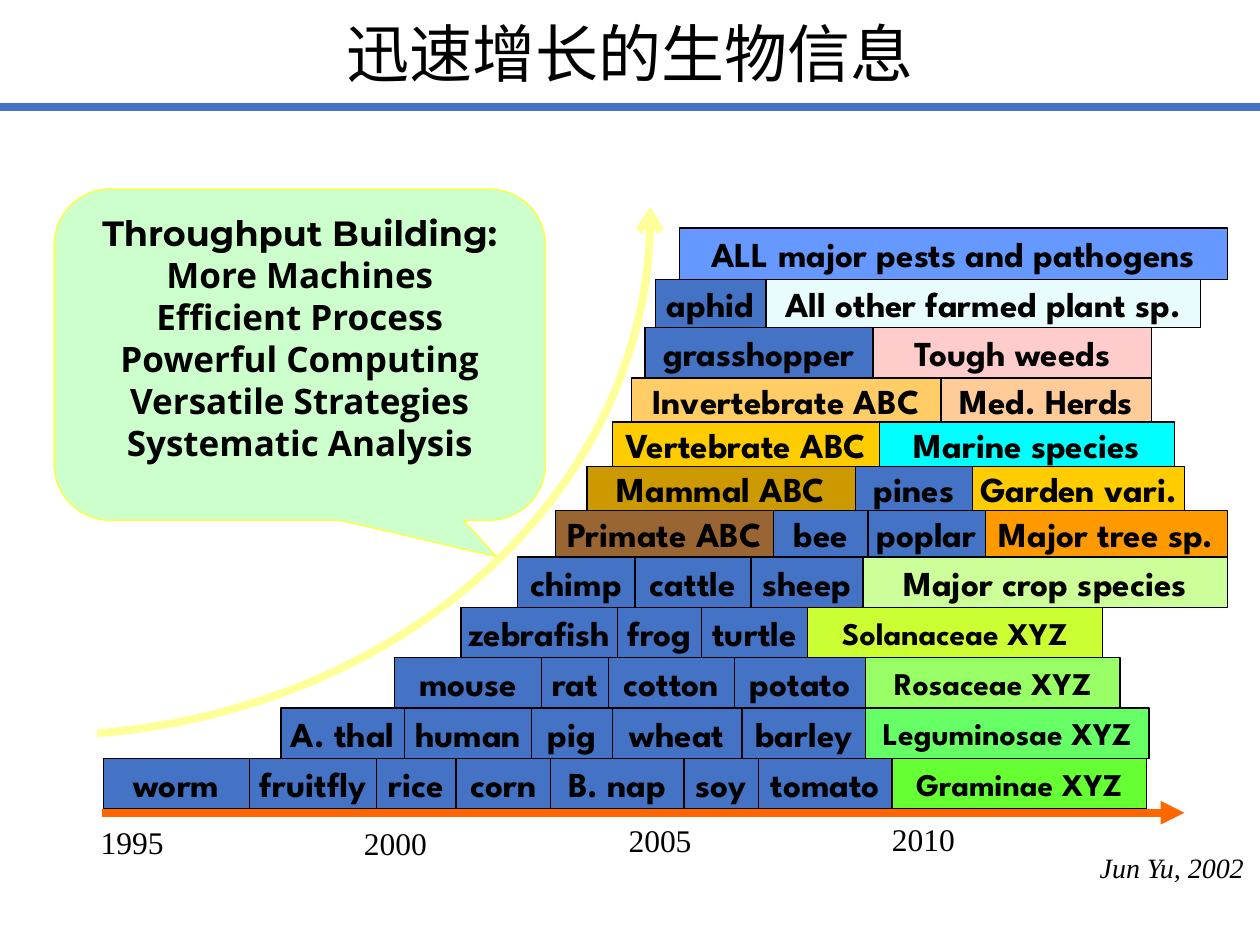
from lxml import etree
from pptx import Presentation, util as u
from pptx.dml.color import RGBColor
from pptx.enum import shapes, text
from pptx.oxml import ns

COLORS = {
    "black": "000000", "blue": "4472C4", "axis": "FF6600", "curve": "FFFF99",
    "callout": "CCFFCC", "callout edge": "FFFF33",
    "sky": "6699FF", "ice": "E8FCFE", "pink": "FFCCCC", "sand": "FFCC66",
    "peach": "FFCC99", "gold": "FFCC00", "cyan": "00FFFF", "ochre": "CC9900",
    "brown": "996633", "orange": "FF9900", "pale green": "CCFF99",
    "lime": "CCFF33", "light green": "99FF66", "mint": "66FF66", "green": "66FF33",
}

# Each row: top, left edge, then (label, right edge, colour) from left to right
ROWS = [
    (1.81, 5.39, [("ALL major pests and pathogens", 9.74, "sky")]),
    (2.22, 5.20, [("aphid", 6.08, "blue"), ("All other farmed plant sp.", 9.53, "ice")]),
    (2.60, 5.12, [("grasshopper", 6.93, "blue"), ("Tough weeds", 9.14, "pink")]),
    (3.00, 5.01, [("Invertebrate ABC", 7.47, "sand"), ("Med. Herds", 9.14, "peach")]),
    (3.35, 4.86, [("Vertebrate ABC", 6.98, "gold"), ("Marine species", 9.32, "cyan")]),
    (3.70, 4.66, [("Mammal ABC", 6.79, "ochre"), ("pines", 7.72, "blue"),
                  ("Garden vari.", 9.40, "gold")]),
    (4.05, 4.41, [("Primate ABC", 6.14, "brown"), ("bee", 6.89, "blue"),
                  ("poplar", 7.82, "blue"), ("Major tree sp.", 9.74, "orange")]),
    (4.42, 4.11, [("chimp", 5.04, "blue"), ("cattle", 5.96, "blue"),
                  ("sheep", 6.85, "blue"), ("Major crop species", 9.74, "pale green")]),
    (4.82, 3.66, [("zebrafish", 4.90, "blue"), ("frog", 5.57, "blue"),
                  ("turtle", 6.41, "blue"), ("Solanaceae XYZ", 8.75, "lime")]),
    (5.22, 3.13, [("mouse", 4.30, "blue"), ("rat", 4.83, "blue"), ("cotton", 5.83, "blue"),
                  ("potato", 6.87, "blue"), ("Rosaceae XYZ", 8.89, "light green")]),
    (5.62, 2.23, [("A. thal", 3.21, "blue"), ("human", 4.22, "blue"), ("pig", 4.86, "blue"),
                  ("wheat", 5.89, "blue"), ("barley", 6.87, "blue"),
                  ("Leguminosae XYZ", 9.12, "mint")]),
    (6.02, 0.82, [("worm", 1.98, "blue"), ("fruitfly", 2.99, "blue"), ("rice", 3.62, "blue"),
                  ("corn", 4.37, "blue"), ("B. nap", 5.43, "blue"), ("soy", 6.02, "blue"),
                  ("tomato", 7.08, "blue"), ("Graminae XYZ", 9.10, "green")]),
]
ROWS_BOTTOM = 6.42


def write(shape, content, size, font, bold=False, italic=False, centred=True, wrap=False):
    frame = shape.text_frame
    frame.text = content
    frame.word_wrap = wrap
    for paragraph in frame.paragraphs:
        paragraph.alignment = text.PP_ALIGN.CENTER if centred else text.PP_ALIGN.LEFT
        for run in paragraph.runs:
            run.font.size = u.Pt(size)
            run.font.name = font
            run.font.bold = bold
            run.font.italic = italic
            run.font.color.rgb = RGBColor.from_string(COLORS["black"])


def outline(shape, color, width, arrow=None):
    """Set the line, drop the shadow and add an optional end arrowhead."""
    shape.line.color.rgb = RGBColor.from_string(COLORS[color])
    shape.line.width = u.Pt(width)
    properties = shape._element.spPr
    if arrow:
        line = properties.find(ns.qn("a:ln"))
        etree.SubElement(line, ns.qn("a:tailEnd"), type=arrow)
    if properties.find(ns.qn("a:effectLst")) is None:
        etree.SubElement(properties, ns.qn("a:effectLst"))


presentation = Presentation()
presentation.slide_width = u.Inches(10)
presentation.slide_height = u.Inches(7.5)
slide = presentation.slides.add_slide(presentation.slide_layouts.get_by_name("Title Only"))

# Title and rule
title = slide.shapes.title
title.left, title.top = 0, u.Inches(0.06)
title.width, title.height = presentation.slide_width, u.Inches(0.71)
write(title, "迅速增长的生物信息", 36, "Arial", wrap=True)
title.text_frame.vertical_anchor = text.MSO_ANCHOR.MIDDLE
title.text_frame.auto_size = text.MSO_AUTO_SIZE.NONE

# Title rule and time axis
for left, right, y, color, arrow in [(0, 10, 0.85, "blue", None),
                                     (0.81, 9.4, 6.45, "axis", "triangle")]:
    connector = slide.shapes.add_connector(
        shapes.MSO_CONNECTOR.STRAIGHT, u.Inches(left), u.Inches(y), u.Inches(right), u.Inches(y))
    outline(connector, color, 4.5, arrow)

# Growth curve: points along a cubic Bézier, then straight up to the arrowhead
controls = [(0.77, 5.82), (3.26, 5.62), (5.16, 3.85), (5.16, 1.72)]
steps = 60
points = []
for step in range(steps + 1):
    t = step / steps
    weights = [(1 - t) ** 3, 3 * t * (1 - t) ** 2, 3 * t ** 2 * (1 - t), t ** 3]
    points.append([u.Inches(sum(weight * control[axis]
                                for weight, control in zip(weights, controls)))
                   for axis in (0, 1)])
points.append([u.Inches(5.16), u.Inches(1.64)])
builder = slide.shapes.build_freeform(*points[0])
builder.add_line_segments(points[1:], close=False)
curve = builder.convert_to_shape()
curve.fill.background()
outline(curve, "curve", 4.5, "arrow")

# Callout
callout = slide.shapes.add_shape(
    shapes.MSO_SHAPE.ROUNDED_RECTANGULAR_CALLOUT,
    u.Inches(0.43), u.Inches(1.5), u.Inches(3.9), u.Inches(2.63))
for index, value in enumerate([0.4, 0.61, 0.17]):
    callout.adjustments[index] = value
callout.fill.solid()
callout.fill.fore_color.rgb = RGBColor.from_string(COLORS["callout"])
outline(callout, "callout edge", 0.75)
write(callout, "Throughput Building:\nMore Machines\nEfficient Process\nPowerful Computing\n"
      "Versatile Strategies\nSystematic Analysis", 20, "Open Sans", bold=True, wrap=True)
callout.text_frame.vertical_anchor = text.MSO_ANCHOR.TOP
callout.text_frame.paragraphs[0].runs[0].font.name = "Montserrat"

# Stacked rows of species
bottoms = [row[0] for row in ROWS[1:]] + [ROWS_BOTTOM]
for (top, left, boxes), bottom in zip(ROWS, bottoms):
    for label, right, color in boxes:
        box = slide.shapes.add_shape(
            shapes.MSO_SHAPE.RECTANGLE, u.Inches(left), u.Inches(top),
            u.Inches(right - left), u.Inches(bottom - top))
        box.fill.solid()
        box.fill.fore_color.rgb = RGBColor.from_string(COLORS[color])
        outline(box, "black", 0.75)
        write(box, label, 18 if label.endswith("XYZ") else 20, "League Spartan", bold=True)
        box.text_frame.vertical_anchor = text.MSO_ANCHOR.MIDDLE
        left = right

# Years and credit
captions = [("1995", 0.70, 6.48), ("2000", 2.79, 6.49), ("2005", 4.89, 6.47),
            ("2010", 6.98, 6.46), ("Jun Yu, 2002", 8.63, 6.70)]
for caption, left, top in captions:
    year = caption.isdigit()
    label = slide.shapes.add_textbox(u.Inches(left), u.Inches(top),
                                     u.Inches(0.71 if year else 1.37),
                                     u.Inches(0.4 if year else 0.37))
    write(label, caption, 18 if year else 16, "Times New Roman", italic=not year, centred=False)

presentation.save("out.pptx")
